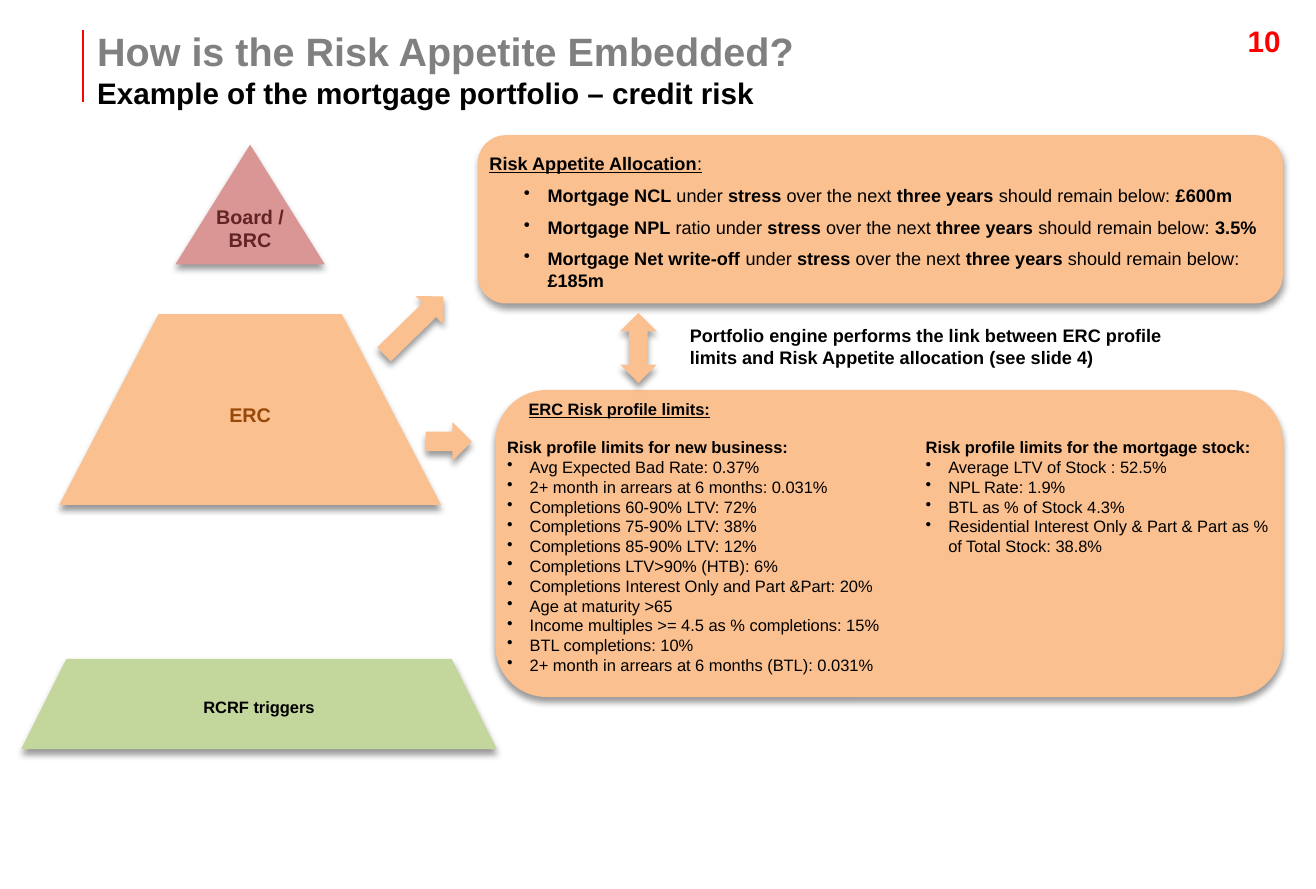
import pptx
import pptx.util
import pptx.dml.color
import pptx.enum.shapes
import pptx.enum.text
import pptx.oxml
import pptx.oxml.ns
from lxml import etree

THEME = {
    "font": "Arial",
    "title": 24, "subtitle": 18, "label": 12, "body": 11, "small": 10,
    "red": "FF0000", "rule": "FF0303", "grey": "808080", "black": "000000",
    "orange": "FAC090", "brown": "984807",
    "rose": "D99694", "maroon": "632523", "green": "C3D69B",
}
COLUMNS, ROWS = 111, 75
SHAPE = pptx.enum.shapes.MSO_SHAPE
ALIGN = pptx.enum.text.PP_ALIGN
ANCHOR = pptx.enum.text.MSO_ANCHOR

deck = pptx.Presentation()
deck.slide_width = pptx.util.Inches(11.1)
deck.slide_height = pptx.util.Inches(7.5)
column = deck.slide_width / COLUMNS
row = deck.slide_height / ROWS
page = deck.slides.add_slide(deck.slide_layouts[6])

SHADOW = (
    f'<a:effectLst {pptx.oxml.ns.nsdecls("a")}>'
    '<a:outerShdw blurRad="50800" dist="38100" dir="5400000" rotWithShape="0">'
    '<a:srgbClr val="000000"><a:alpha val="40000"/></a:srgbClr>'
    '</a:outerShdw></a:effectLst>'
)


def place(kind, left, top, width, height, fill=None):
    """Put a shadowed shape, or a text box when kind is None, on the grid."""
    area = [int(left * column), int(top * row), int(width * column), int(height * row)]
    if kind is None:
        box = page.shapes.add_textbox(*area)
        box.text_frame.word_wrap = True
        return box
    box = page.shapes.add_shape(kind, *area)
    box.fill.solid()
    box.fill.fore_color.rgb = pptx.dml.color.RGBColor.from_string(THEME[fill])
    box.line.fill.background()
    box._element.spPr.append(pptx.oxml.parse_xml(SHADOW))
    return box


def write(box, text, size, color="black", align=ALIGN.LEFT, underline=False,
          indent=None, after=0):
    """Add a paragraph; parts between ** are bold, an indent brings a bullet."""
    frame = box.text_frame
    para = frame.paragraphs[0] if not frame.text else frame.add_paragraph()
    para.alignment = align
    para.space_after = pptx.util.Pt(after)
    if indent:
        margin, hanging = indent
        properties = para._p.get_or_add_pPr()
        properties.set("marL", str(int(margin * column)))
        properties.set("indent", str(int(-hanging * column)))
        bullet = etree.SubElement(properties, pptx.oxml.ns.qn("a:buChar"))
        bullet.set("char", "•")
    for index, part in enumerate(text.split("**")):
        if part:
            span = para.add_run()
            span.text = part
            span.font.name = THEME["font"]
            span.font.size = pptx.util.Pt(THEME[size])
            span.font.bold = index % 2 == 1
            span.font.underline = underline
            span.font.color.rgb = pptx.dml.color.RGBColor.from_string(THEME[color])


# Header
number = place(None, 98.4, 1.4, 10.6, 5)
write(number, "**10**", "subtitle", "red", ALIGN.RIGHT)

rule = page.shapes.add_connector(
    pptx.enum.shapes.MSO_CONNECTOR.STRAIGHT,
    int(7 * column), int(8.6 * row), int(7 * column), int(2.5 * row))
rule.line.color.rgb = pptx.dml.color.RGBColor.from_string(THEME["rule"])
rule.line.width = pptx.util.Pt(1.5)
etree.SubElement(rule._element.spPr, pptx.oxml.ns.qn("a:effectLst"))

title = place(None, 8.2, 2.3, 67.4, 7.1)
frame = title.text_frame
frame.margin_left = frame.margin_right = frame.margin_top = frame.margin_bottom = 0
write(title, "**How is the Risk Appetite Embedded?**", "title", "grey")
write(title, "**Example of the mortgage portfolio – credit risk**", "subtitle")

# Panels
place(SHAPE.ROUNDED_RECTANGLE, 40.3, 11.4, 67.9, 14.2, "orange")
place(SHAPE.ROUNDED_RECTANGLE, 41.8, 32.9, 66.4, 25.9, "orange")

# Pyramid: kind, area, slant, fill, label, size, colour, side inset, bottom inset
levels = [
    (SHAPE.ISOSCELES_TRIANGLE, (14.8, 12.2, 12.6, 10.1), None, "rose",
     "Board / BRC", "label", "maroon", 0, 0),
    (SHAPE.TRAPEZOID, (5, 26.5, 32.2, 16.1), 0.52, "orange",
     "ERC", "label", "brown", 0.4, 2.3),
    (SHAPE.TRAPEZOID, (1.8, 55.6, 40.1, 7.6), 0.5, "green",
     "RCRF triggers", "small", "black", 0.4, 0.4),
]
for kind, area, slant, fill, label, size, color, inset, bottom in levels:
    level = place(kind, *area, fill)
    frame = level.text_frame
    frame.word_wrap = True
    frame.margin_left = frame.margin_right = int(inset * column)
    frame.margin_top = int(inset * row)
    frame.margin_bottom = int(bottom * row)
    frame.vertical_anchor = ANCHOR.TOP
    if slant:
        level.adjustments[0] = slant
        frame.vertical_anchor = ANCHOR.MIDDLE
    write(level, f"**{label}**", size, color, ALIGN.CENTER)

# Arrows
place(SHAPE.RIGHT_ARROW, 35.9, 35.6, 3.9, 3.3, "orange")
place(SHAPE.UP_DOWN_ARROW, 52.3, 26.4, 3.1, 5.9, "orange")
rising = place(SHAPE.RIGHT_ARROW, 31.4, 25.8, 7, 3.3, "orange")
rising.rotation = -44.3

# Risk appetite allocation
allocation = place(None, 40.3, 12.4, 69.2, 13.1)
write(allocation, "**Risk Appetite Allocation**:", "body", underline=True, after=6)
for measure, link, limit in [
    ("Mortgage NCL", "under", "£600m"),
    ("Mortgage NPL", "ratio under", "3.5%"),
    ("Mortgage Net write-off", "under", "£185m"),
]:
    write(allocation,
          f"**{measure} **{link} **stress** over the next **three years**"
          f" should remain below: **{limit}**",
          "body", indent=(4.9, 2), after=6)

engine = place(None, 57.2, 26.9, 42, 4.7)
write(engine, "**Portfolio engine performs the link between ERC profile limits "
              "and Risk Appetite allocation (see slide 4)**", "body")

# ERC risk profile limits
heading = place(None, 43.6, 33.2, 17.5, 2.7)
heading.text_frame.word_wrap = False
write(heading, "**ERC Risk profile limits:**", "small", underline=True)

limits = [
    ((41.8, 36.4, 34.4, 22.9), "Risk profile limits for new business:", [
        "Avg Expected Bad Rate: 0.37%",
        "2+ month in arrears at 6 months: 0.031%",
        "Completions 60-90% LTV: 72%",
        "Completions 75-90% LTV: 38%",
        "Completions 85-90% LTV: 12%",
        "Completions LTV>90% (HTB): 6%",
        "Completions Interest Only and Part &Part: 20%",
        "Age at maturity >65",
        "Income multiples >= 4.5 as % completions: 15%",
        "BTL completions: 10%",
        "2+ month in arrears at 6 months (BTL): 0.031%",
    ]),
    ((77.1, 36.4, 31.2, 11.1), "Risk profile limits for the mortgage stock:", [
        "Average LTV of Stock : 52.5%",
        "NPL Rate: 1.9%",
        "BTL as % of Stock 4.3%",
        "Residential Interest Only & Part & Part as % of Total Stock: 38.8%",
    ]),
]
for area, caption, items in limits:
    listing = place(None, *area)
    write(listing, f"**{caption}**", "small")
    for item in items:
        write(listing, item, "small", indent=(1.9, 1.9))

deck.save("out.pptx")
